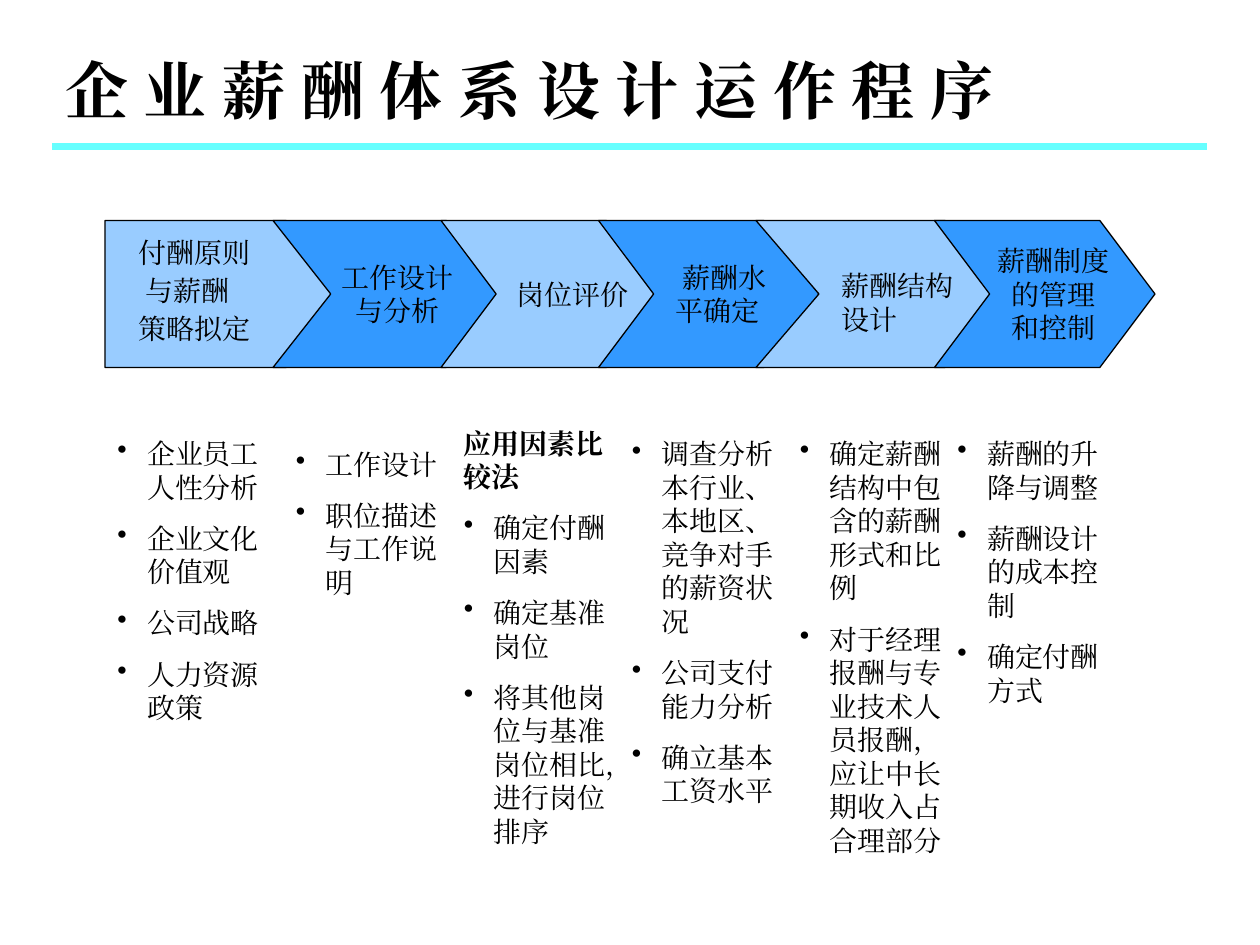
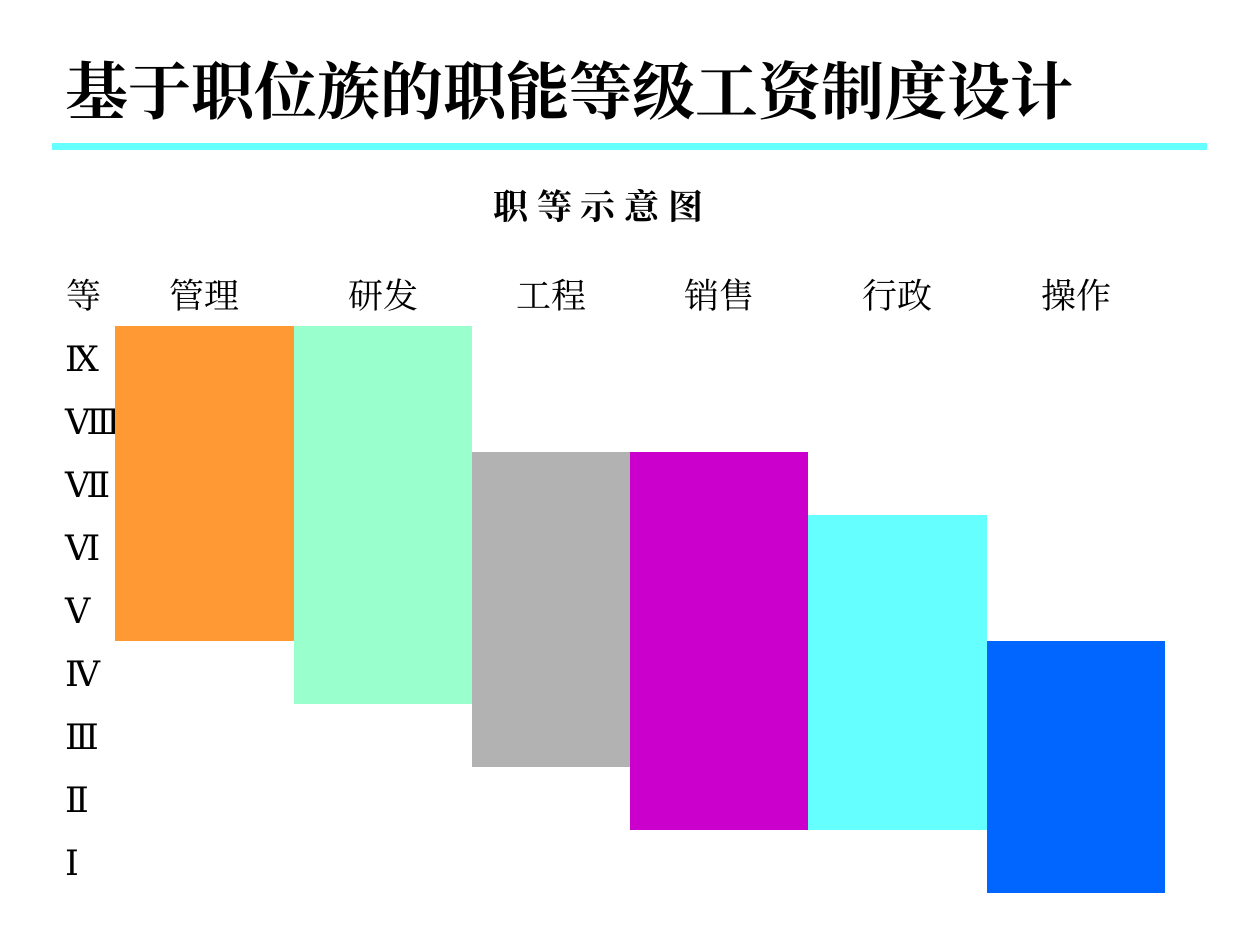
from dataclasses import dataclass
from typing import Any, NamedTuple

from lxml import etree
from pptx import Presentation
from pptx import util as u
from pptx.dml.color import RGBColor
from pptx.enum import shapes, text
from pptx.oxml.ns import qn

# Shared look
COLORS = {
    "ink": "000000", "rule": "66FFFF", "light": "99CCFF", "deep": "3399FF",
    "orange": "FF9933", "mint": "99FFCC", "grey": "B2B2B2",
    "purple": "CC00CC", "cyan": "66FFFF", "blue": "0066FF",
}
FONT = "Times New Roman"
SLIDE_WIDTH, SLIDE_HEIGHT = u.Inches(10), u.Inches(7.5)
CELL = SLIDE_WIDTH // 120  # the grid has 120 columns and 90 rows
BULLET_INDENT = 17
BODY_SIZE, TABLE_SIZE, TITLE_SIZE = 16, 20, 36
NO_STYLE = "{2D5ABB26-0587-4C30-8999-92F81FD0307C}"
LEFT, CENTER = text.PP_ALIGN.LEFT, text.PP_ALIGN.CENTER


class Box(NamedTuple):
    column: float
    row: float
    columns: float
    rows: float

    def emu(self) -> list[int]:
        return [round(value * CELL) for value in self]


class Line(NamedTuple):
    words: str
    indent: float = 0
    bold: bool = False
    bullet: bool = False


@dataclass
class Step:
    column: int
    columns: int
    lines: list[Line]
    task_box: Box
    tasks: list[Line]
    label_box: Box | None = None  # a separate label, else the words sit in the arrow
    label_spacing: float = 1.0


class Family(NamedTuple):
    name: str
    color: str
    top_grade: int
    bottom_grade: int
    columns: int = 17


def points(*items: str) -> list[Line]:
    return [Line(item, BULLET_INDENT, bullet=True) for item in items]


# Slide content
STEPS = [
    Step(10, 23, [Line("付酬原则"), Line("与薪酬", 4), Line("策略拟定")],
         Box(10, 41, 16, 29),
         points("企业员工人性分析", "企业文化价值观", "公司战略", "人力资源政策"),
         Box(12, 23, 16, 10), 0.6),
    Step(26, 22, [Line("工作设计", 10), Line("与分析", 10)],
         Box(27, 42, 17, 13), points("工作设计", "职位描述与工作说明")),
    Step(42, 21, [Line("岗位评价", 24)],
         Box(43, 40, 16, 38),
         [Line("应用因素比较法", bold=True)]
         + points("确定付酬因素", "确定基准岗位", "将其他岗位与基准岗位相比，进行岗位排序")),
    Step(57, 21, [Line("薪酬水", 18), Line("平确定", 10)],
         Box(59, 41, 16, 33),
         points("调查分析本行业、本地区、竞争对手的薪资状况", "公司支付能力分析", "确立基本工资水平")),
    Step(72, 24, [Line("薪酬结构设计")],
         Box(75, 41, 16, 35),
         points("确定薪酬结构中包含的薪酬形式和比例",
                "对于经理报酬与专业技术人员报酬，应让中长期收入占合理部分"),
         Box(79, 25, 13, 8)),
    Step(89, 21, [Line("薪酬制度", 10), Line("的管理", 10), Line("和控制", 10)],
         Box(90, 41, 18, 24),
         points("薪酬的升降与调整", "薪酬设计的成本控制", "确定付酬方式")),
]
GRADES = "ⅨⅧⅦⅥⅤⅣⅢⅡⅠ"
FAMILIES = [
    Family("管理", "orange", 9, 5),
    Family("研发", "mint", 9, 4),
    Family("工程", "grey", 7, 3, 15),
    Family("销售", "purple", 7, 2),
    Family("行政", "cyan", 6, 2),
    Family("操作", "blue", 4, 1),
]


def rgb(name: str) -> RGBColor:
    return RGBColor.from_string(COLORS[name])


def set_all(target: Any, values: dict[str, Any]) -> None:
    for name, value in values.items():
        setattr(target, name, value)


def write(frame: Any, lines: list[Line], size: float = BODY_SIZE, align: Any = LEFT,
          spacing: float | None = None, gap: float = 0) -> None:
    """Fill a text frame, one paragraph for each line."""
    for index, line in enumerate(lines):
        paragraph = frame.paragraphs[0] if index == 0 else frame.add_paragraph()
        run = paragraph.add_run()
        run.text = line.words
        set_all(paragraph, {"alignment": align, "line_spacing": spacing,
                            "space_before": u.Pt(gap if index else 0)})
        properties = paragraph._p.get_or_add_pPr()
        properties.set("marL", str(u.Pt(line.indent)))
        properties.set("indent", str(-u.Pt(line.indent) if line.bullet else 0))
        if line.bullet:
            etree.SubElement(properties, qn("a:buChar")).set("char", "•")
        set_all(run.font, {"name": FONT, "size": u.Pt(size), "bold": line.bold})
        run.font.color.rgb = rgb("ink")
        east_asian = etree.SubElement(run._r.get_or_add_rPr(), qn("a:ea"))
        east_asian.set("typeface", FONT)


def add_text(slide: Any, box: Box, lines: list[Line], **style: Any) -> None:
    frame = slide.shapes.add_textbox(*box.emu()).text_frame
    frame.word_wrap = True
    write(frame, lines, **style)


def add_titled_slide(presentation: Any, title: str) -> Any:
    """Title-only slide with the band under its title."""
    slide = presentation.slides.add_slide(presentation.slide_layouts[5])
    placeholder = slide.shapes.title
    left, top, width, height = Box(5, 4, 110, 9).emu()
    set_all(placeholder, {"left": left, "top": top, "width": width, "height": height})
    set_all(placeholder.text_frame, {"vertical_anchor": text.MSO_ANCHOR.MIDDLE,
                                     "word_wrap": True,
                                     "auto_size": text.MSO_AUTO_SIZE.NONE})
    write(placeholder.text_frame, [Line(title, bold=True)], TITLE_SIZE)
    rule = slide.shapes.add_connector(shapes.MSO_CONNECTOR.STRAIGHT,
                                      5 * CELL, 14 * CELL, 115 * CELL, 14 * CELL)
    rule.line.color.rgb = rgb("rule")
    rule.line.width = u.Pt(4)
    etree.SubElement(rule._element.spPr, qn("a:effectLst"))
    return slide


def add_arrow(slide: Any, step: Step, color: str, notched: bool) -> Any:
    """Arrow whose tip and notch are a quarter of its width."""
    left, top, width, height = Box(step.column, 21, step.columns, 14).emu()
    tip, middle = width // 4, top + height // 2
    right, bottom = left + width, top + height
    outline = [(right - tip, top), (right, middle), (right - tip, bottom), (left, bottom)]
    if notched:
        outline.append((left + tip, middle))
    builder = slide.shapes.build_freeform(left, top)
    builder.add_line_segments(outline, close=True)
    arrow = builder.convert_to_shape()
    arrow.shadow.inherit = False
    arrow.fill.solid()
    arrow.fill.fore_color.rgb = rgb(color)
    arrow.line.color.rgb = rgb("ink")
    arrow.line.width = u.Pt(0.75)
    return arrow


def build_process(presentation: Any) -> None:
    slide = add_titled_slide(presentation, "企 业 薪 酬 体 系 设 计 运 作 程 序")
    # Arrows, each over the tip of the one before
    for index, step in enumerate(STEPS):
        arrow = add_arrow(slide, step, ("light", "deep")[index % 2], index > 0)
        if step.label_box is None:
            set_all(arrow.text_frame, {"word_wrap": True,
                                       "vertical_anchor": text.MSO_ANCHOR.MIDDLE})
            write(arrow.text_frame, step.lines, align=CENTER)
    # Separate labels and the tasks below
    for step in STEPS:
        if step.label_box:
            add_text(slide, step.label_box, step.lines, spacing=step.label_spacing, gap=10)
        add_text(slide, step.task_box, step.tasks, gap=10)


def build_grades(presentation: Any) -> None:
    slide = add_titled_slide(presentation, "基于职位族的职能等级工资制度设计")
    add_text(slide, Box(35, 17, 44, 5), [Line("职 等 示 意 图", bold=True)],
             size=TABLE_SIZE, align=CENTER)
    # Table without style or borders
    widths = [6] + [family.columns for family in FAMILIES]
    row_count = len(GRADES) + 1
    frame = slide.shapes.add_table(row_count, len(widths),
                                   *Box(5, 25, sum(widths), 6 * row_count).emu())
    table = frame.table
    set_all(table, {"first_row": False, "horz_banding": False})
    next(frame._element.iter(qn("a:tableStyleId"))).text = NO_STYLE
    for column, width in zip(table.columns, widths):
        column.width = width * CELL
    for cell in table.iter_cells():
        set_all(cell, {"margin_top": u.Inches(0.12), "margin_bottom": u.Inches(0.03)})
        cell.fill.background()
    # Headings and grades
    for index, name in enumerate(["等"] + [family.name for family in FAMILIES]):
        write(table.cell(0, index).text_frame, [Line(name)], TABLE_SIZE, CENTER)
    for row, grade in enumerate(GRADES, 1):
        write(table.cell(row, 0).text_frame, [Line(grade)], TABLE_SIZE)
    # Range of grades for each job family
    for column, family in enumerate(FAMILIES, 1):
        for grade in range(family.bottom_grade, family.top_grade + 1):
            fill = table.cell(row_count - grade, column).fill
            fill.solid()
            fill.fore_color.rgb = rgb(family.color)


def main() -> None:
    presentation = Presentation()
    set_all(presentation, {"slide_width": SLIDE_WIDTH, "slide_height": SLIDE_HEIGHT})
    build_process(presentation)
    build_grades(presentation)
    presentation.save("out.pptx")


if __name__ == "__main__":
    main()
